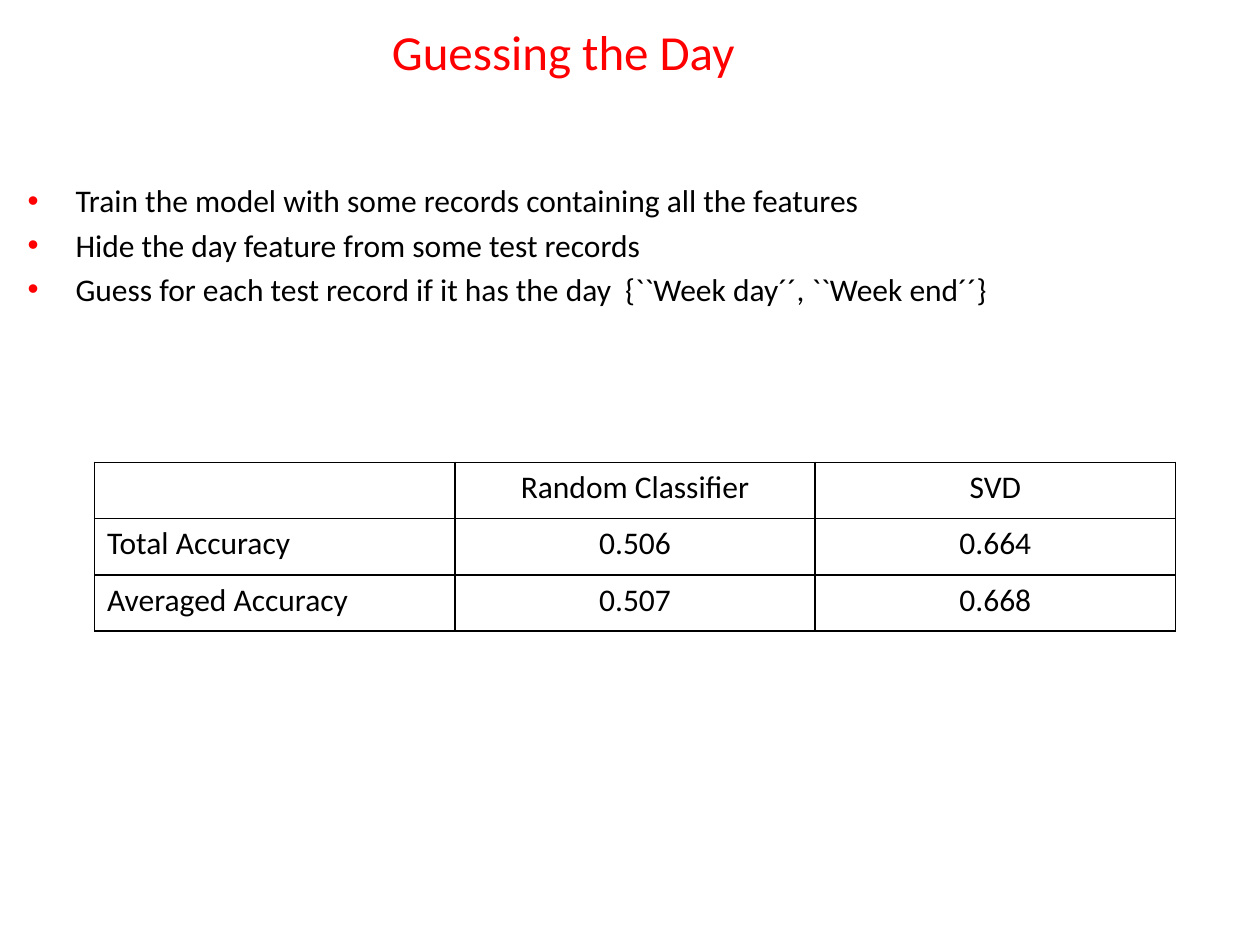
from dataclasses import dataclass

from lxml.etree import SubElement
from pptx import Presentation
from pptx.dml.color import RGBColor
from pptx.enum.text import MSO_ANCHOR, MSO_AUTO_SIZE, PP_ALIGN
from pptx.oxml.ns import qn
from pptx.util import Inches, Pt


@dataclass(frozen=True)
class Theme:
    """Colours, font and type sizes of the slide."""
    font: str = "Calibri"
    accent: str = "FF0000"
    ink: str = "000000"
    title_size: int = 28
    text_size: int = 18
    border_width: int = 1


THEME = Theme()
STEPS = [
    "Train the model with some records containing all the features",
    "Hide the day feature from some test records",
    "Guess for each test record if it has the day  {``Week day´´, ``Week end´´}",
]
RESULTS = [
    ["", "Random Classifier", "SVD"],
    ["Total Accuracy", "0.506", "0.664"],
    ["Averaged Accuracy", "0.507", "0.668"],
]


def add_span(para, text, size, color):
    """Add one formatted run to a paragraph."""
    span = para.add_run()
    span.text = text
    span.font.name = THEME.font
    span.font.size = Pt(size)
    span.font.color.rgb = RGBColor.from_string(color)


def place(shape, box, anchor):
    """Move a placeholder to a box in inches and fix its text frame."""
    shape.left, shape.top, shape.width, shape.height = map(Inches, box)
    frame = shape.text_frame
    frame.word_wrap = True
    frame.auto_size = MSO_AUTO_SIZE.NONE
    frame.vertical_anchor = anchor
    return frame


def set_bullet(para, indent):
    """Give a paragraph a coloured bullet with a hanging indent."""
    props = para._p.get_or_add_pPr()
    props.set("marL", str(Inches(indent)))
    props.set("indent", str(-Inches(indent)))
    color = SubElement(props, qn("a:buClr"))
    SubElement(color, qn("a:srgbClr"), val=THEME.accent)
    SubElement(props, qn("a:buFont"), typeface="Arial")
    SubElement(props, qn("a:buChar"), char="•")


def set_borders(cell):
    """Draw a thin line on all four sides of a cell."""
    props = cell._tc.get_or_add_tcPr()
    for side in ("lnL", "lnR", "lnT", "lnB"):
        line = SubElement(props, qn(f"a:{side}"), w=str(Pt(THEME.border_width)))
        fill = SubElement(line, qn("a:solidFill"))
        SubElement(fill, qn("a:srgbClr"), val=THEME.ink)


def add_title(page, box, text):
    """Fill the title placeholder."""
    para = place(page.shapes.title, box, MSO_ANCHOR.MIDDLE).paragraphs[0]
    para.alignment = PP_ALIGN.CENTER
    add_span(para, text, THEME.title_size, THEME.accent)


def add_steps(page, box, steps):
    """Fill the body placeholder with a bulleted list."""
    frame = place(page.placeholders[1], box, MSO_ANCHOR.TOP)
    for index, step in enumerate(steps):
        para = frame.add_paragraph() if index else frame.paragraphs[0]
        para.space_before = Pt(0.2 * THEME.text_size)
        set_bullet(para, 0.38)
        add_span(para, step, THEME.text_size, THEME.ink)


def add_results(page, box, rows):
    """Add the bordered accuracy table with equal rows and columns."""
    left, top, width, height = map(Inches, box)
    table = page.shapes.add_table(len(rows), len(rows[0]), left, top, width, height).table
    table.first_row = table.horz_banding = False
    for row_index, row in enumerate(rows):
        for column, text in enumerate(row):
            cell = table.cell(row_index, column)
            set_borders(cell)
            cell.fill.background()
            para = cell.text_frame.paragraphs[0]
            para.font.size = Pt(THEME.text_size)
            para.alignment = PP_ALIGN.CENTER if column else PP_ALIGN.LEFT
            if text:
                add_span(para, text, THEME.text_size, THEME.ink)


def build_deck():
    """Build and save the slide."""
    deck = Presentation()
    deck.slide_width, deck.slide_height = Inches(10), Inches(7.5)
    page = deck.slides.add_slide(deck.slide_layouts[1])
    add_title(page, (-0.51, 0.06, 9.96, 0.69), "Guessing the Day")
    add_steps(page, (0.12, 1.39, 9.69, 1.18), STEPS)
    add_results(page, (0.75, 3.67, 8.58, 1.34), RESULTS)
    deck.save("out.pptx")


build_deck()
